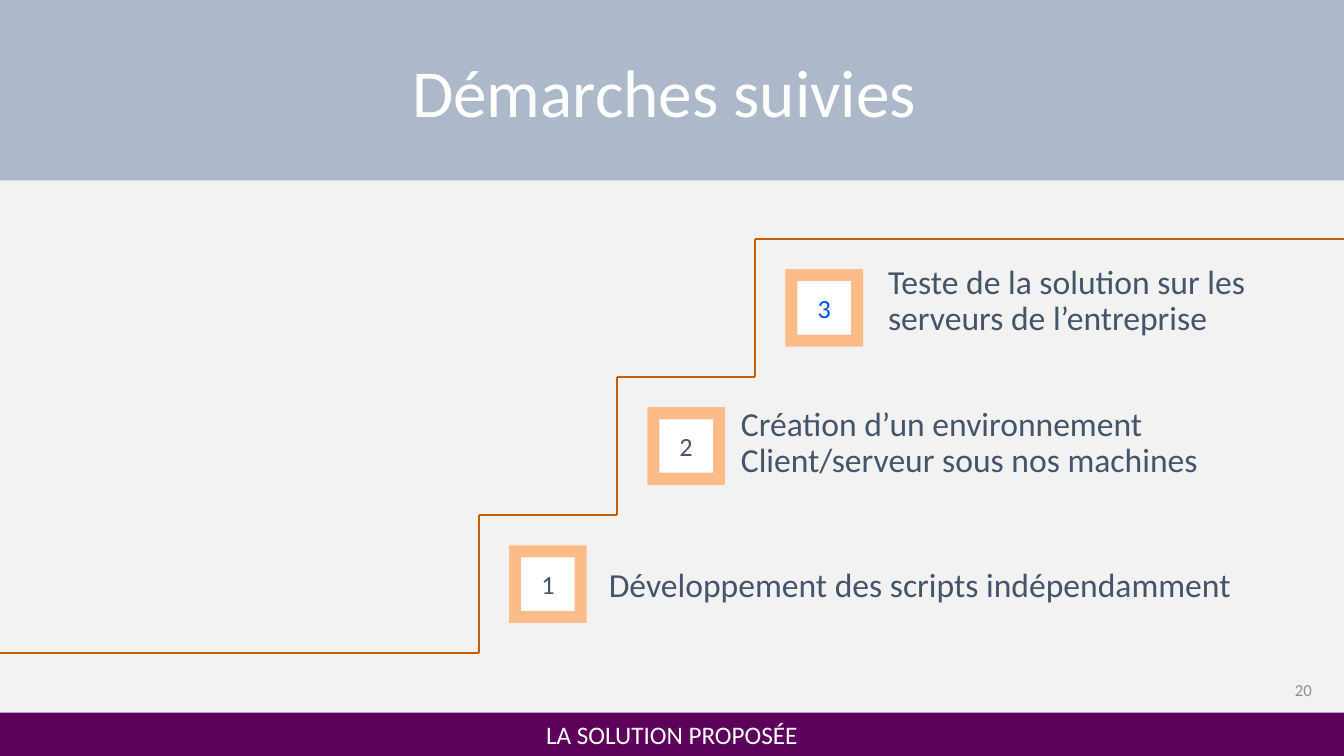
from dataclasses import dataclass
from lxml import etree
from pptx import Presentation
from pptx.dml.color import RGBColor
from pptx.enum.shapes import MSO_CONNECTOR, MSO_SHAPE
from pptx.enum.text import MSO_ANCHOR, PP_ALIGN
from pptx.oxml.ns import qn
from pptx.util import Inches, Pt

LINE = MSO_CONNECTOR.STRAIGHT
RECT = MSO_SHAPE.RECTANGLE
MID = MSO_ANCHOR.MIDDLE
LEFT, CENTER, RIGHT = PP_ALIGN.LEFT, PP_ALIGN.CENTER, PP_ALIGN.RIGHT
COLS, ROWS = 133.3, 75


@dataclass(frozen=True)
class Theme:
    font: str = "Calibri"
    back: str = "F2F2F2"
    band: str = "ADB9CA"
    foot: str = "5C005C"
    tile: str = "FDBC87"
    stair: str = "C75C04"
    white: str = "FFFFFF"
    ink: str = "44546A"
    blue: str = "0050F1"
    gray: str = "8C8D9D"
    head: float = 48
    body: float = 24
    digit: float = 18.7
    note: float = 18
    page: float = 12


class Board:
    def __init__(self, deck, theme):
        self.theme = theme
        self.wide, self.high = deck.slide_width, deck.slide_height
        self.slide = deck.slides.add_slide(deck.slide_layouts[5])
        self.paint(self.slide.background.fill, theme.back)

    def paint(self, fill, color):
        fill.solid()
        fill.fore_color.rgb = RGBColor.from_string(color)

    def spot(self, col, row):
        return round(col * self.wide / COLS), round(row * self.high / ROWS)

    def area(self, col, row, wide, high):
        return *self.spot(col, row), *self.spot(wide, high)

    def letter(self, shape, text, size, color, align=CENTER, lead=1.0):
        frame = shape.text_frame
        frame.text = text
        frame.word_wrap = True
        frame.vertical_anchor = MID
        for para in frame.paragraphs:
            para.alignment = align
            para.line_spacing = lead
            for run in para.runs:
                run.font.name = self.theme.font
                run.font.size = Pt(size)
                run.font.color.rgb = RGBColor.from_string(color)

    def title(self, text, *box):
        head = self.slide.shapes.title
        head.left, head.top, head.width, head.height = self.area(*box)
        self.paint(head.fill, self.theme.band)
        self.letter(head, text, self.theme.head, self.theme.white)

    def block(self, color, *box):
        shape = self.slide.shapes.add_shape(RECT, *self.area(*box))
        shape.shadow.inherit = False
        self.paint(shape.fill, color)
        shape.line.fill.background()
        return shape

    def label(self, text, size, color, align, lead, *box):
        shape = self.slide.shapes.add_textbox(*self.area(*box))
        self.letter(shape, text, size, color, align, lead)

    def line(self, start, end):
        link = self.slide.shapes.add_connector(
            LINE, *self.spot(*start), *self.spot(*end))
        link.line.color.rgb = RGBColor.from_string(self.theme.stair)
        link.line.width = Pt(1)
        etree.SubElement(link._element.spPr, qn("a:effectLst"))

    def badge(self, text, color, col, row):
        side, rim = 7.7, 1.2
        self.block(self.theme.tile, col, row, side, side)
        core = self.block(self.theme.white, col + rim, row + rim,
                          side - 2 * rim, side - 2 * rim)
        self.letter(core, text, self.theme.digit, color)


def main():
    deck = Presentation()
    deck.slide_width, deck.slide_height = Inches(13.33), Inches(7.5)
    look = Theme()
    board = Board(deck, look)
    board.title("Démarches suivies ", 0, 0, COLS, 17.9)

    left, base, step, gap = 47.5, 64.8, 13.7, 3
    steps = [
        ("Développement des scripts indépendamment",
         look.ink, 59.4, 54.4, 65.8),
        ("Création d’un environnement Client/serveur sous nos machines",
         look.ink, 72.5, 40.2, 51.7),
        ("Teste de la solution sur les serveurs de l’entreprise",
         look.blue, 87.1, 26.1, 43.9),
    ]
    turns = [(0, base)]
    for i, (text, color, col, row, wide) in enumerate(steps):
        x, y = left + i * step, base - (i + 1) * step
        turns += [(x, y + step), (x, y)]
        board.badge(str(i + 1), color, x + gap, y + gap)
        board.label(text, look.body, look.ink, LEFT, 0.9, col, row, wide, 7.6)
    turns.append((COLS, base - len(steps) * step))
    for start, end in zip(turns, turns[1:]):
        board.line(start, end)

    board.label("20", look.page, look.gray, RIGHT, 1.0, 111.3, 64.7, 19.8, 7.4)
    foot = board.block(look.foot, 0, 70.7, COLS, 4.3)
    board.letter(foot, "LA SOLUTION PROPOSÉE", look.note, look.white)
    deck.save("out.pptx")


if __name__ == "__main__":
    main()
